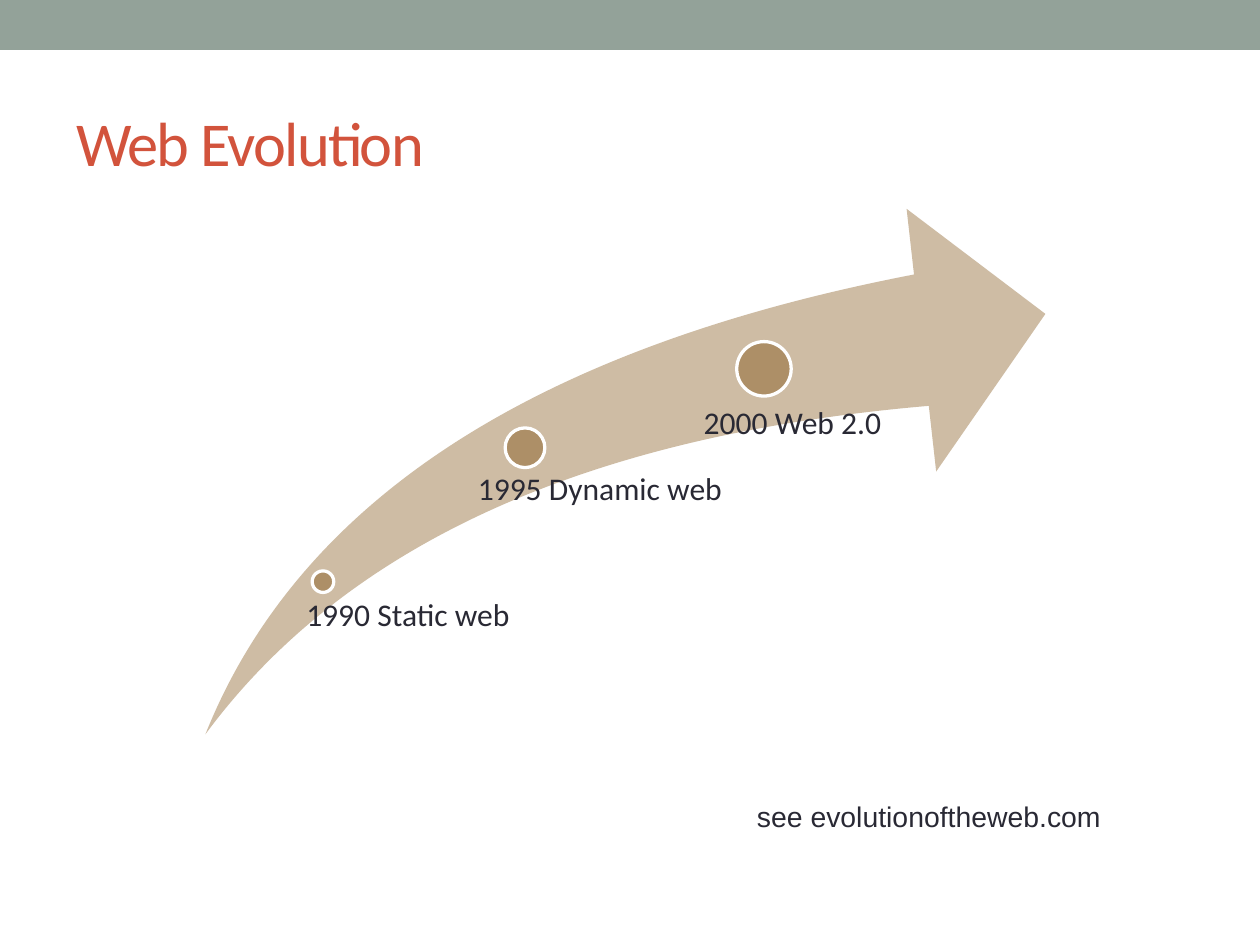
import pptx
import pptx.dml.color
import pptx.enum.shapes
import pptx.enum.text
import pptx.util

Inches = pptx.util.Inches
Pt = pptx.util.Pt
Shape = pptx.enum.shapes.MSO_SHAPE
Anchor = pptx.enum.text.MSO_ANCHOR
Align = pptx.enum.text.PP_ALIGN
AutoSize = pptx.enum.text.MSO_AUTO_SIZE

BAR, ACCENT, SWOOSH, DOT = "93A299", "D2533C", "CEBCA4", "AD8F67"
INK, WHITE = "292934", "FFFFFF"

# label, dot (left, top, diameter), label box (left, top, width, height), left inset
MILESTONES = [
    ("1990 Static web", (2.75, 5.03, 0.19), (2.6, 5.28, 3.1, 1.34), 0.1),
    ("1995 Dynamic web", (4.45, 3.77, 0.35), (4.03, 4.17, 3.73, 2.08), 0.18),
    ("2000 Web 2.0", (6.49, 3.01, 0.48), (5.95, 3.59, 3.34, 1.91), 0.25),
]


def rgb(value):
    return pptx.dml.color.RGBColor.from_string(value)


class SlideBuilder:
    def __init__(self, page, font="Calibri", ink=INK):
        self.page = page
        self.font = font
        self.ink = ink

    def set_text(self, holder, text, size, insets, color=None, font=None):
        """Fill a shape's text frame with one paragraph and return it."""
        frame = holder.text_frame
        frame.word_wrap = True
        frame.auto_size = AutoSize.NONE
        (frame.margin_left, frame.margin_top,
         frame.margin_right, frame.margin_bottom) = map(Inches, insets)
        para = frame.paragraphs[0]
        para.add_run().text = text
        para.alignment = Align.LEFT
        para.font.size = Pt(size)
        para.font.name = font or self.font
        para.font.color.rgb = rgb(color or self.ink)
        return para

    def title(self, text, place):
        holder = self.page.shapes.title
        holder.left, holder.top, holder.width, holder.height = map(Inches, place)
        para = self.set_text(holder, text, 39.6, (0.11, 0.06, 0.11, 0.06), ACCENT)
        holder.text_frame.vertical_anchor = Anchor.MIDDLE
        para.runs[0]._r.get_or_add_rPr().set("spc", "-110")

    def shape(self, kind, place, fill, outline=None):
        shape = self.page.shapes.add_shape(kind, *map(Inches, place))
        shape.shadow.inherit = False
        shape.fill.solid()
        shape.fill.fore_color.rgb = rgb(fill)
        if outline:
            shape.line.color.rgb = rgb(outline)
            shape.line.width = Pt(2.08)
        else:
            shape.line.fill.background()
        return shape

    def text(self, text, place, size, insets, font=None):
        box = self.page.shapes.add_textbox(*map(Inches, place))
        return self.set_text(box, text, size, insets, font=font)

    def milestone(self, label, dot, place, inset):
        left, top, diameter = dot
        self.shape(Shape.OVAL, (left, top, diameter, diameter), DOT, WHITE)
        para = self.text(label, place, 20, (inset, 0, 0, 0))
        para.line_spacing = 0.9


def main():
    deck = pptx.Presentation()
    deck.slide_width, deck.slide_height = Inches(11.1), Inches(8.3)
    builder = SlideBuilder(deck.slides.add_slide(deck.slide_layouts[5]))

    builder.shape(Shape.RECTANGLE, (0, 0, 11.1, 0.44), BAR)
    builder.title("Web Evolution", (0.56, 0.65, 9.99, 1.2))
    arrow = builder.shape(Shape.SWOOSH_ARROW, (1.81, 1.84, 7.4, 4.63), SWOOSH)
    arrow.adjustments[0] = arrow.adjustments[1] = 0.25
    for milestone in MILESTONES:
        builder.milestone(*milestone)
    builder.text("see evolutionoftheweb.com", (6.57, 6.99, 4.53, 0.4), 18,
                 (0.1, 0.05, 0.1, 0.05), font="Arial")
    deck.save("out.pptx")


if __name__ == "__main__":
    main()
